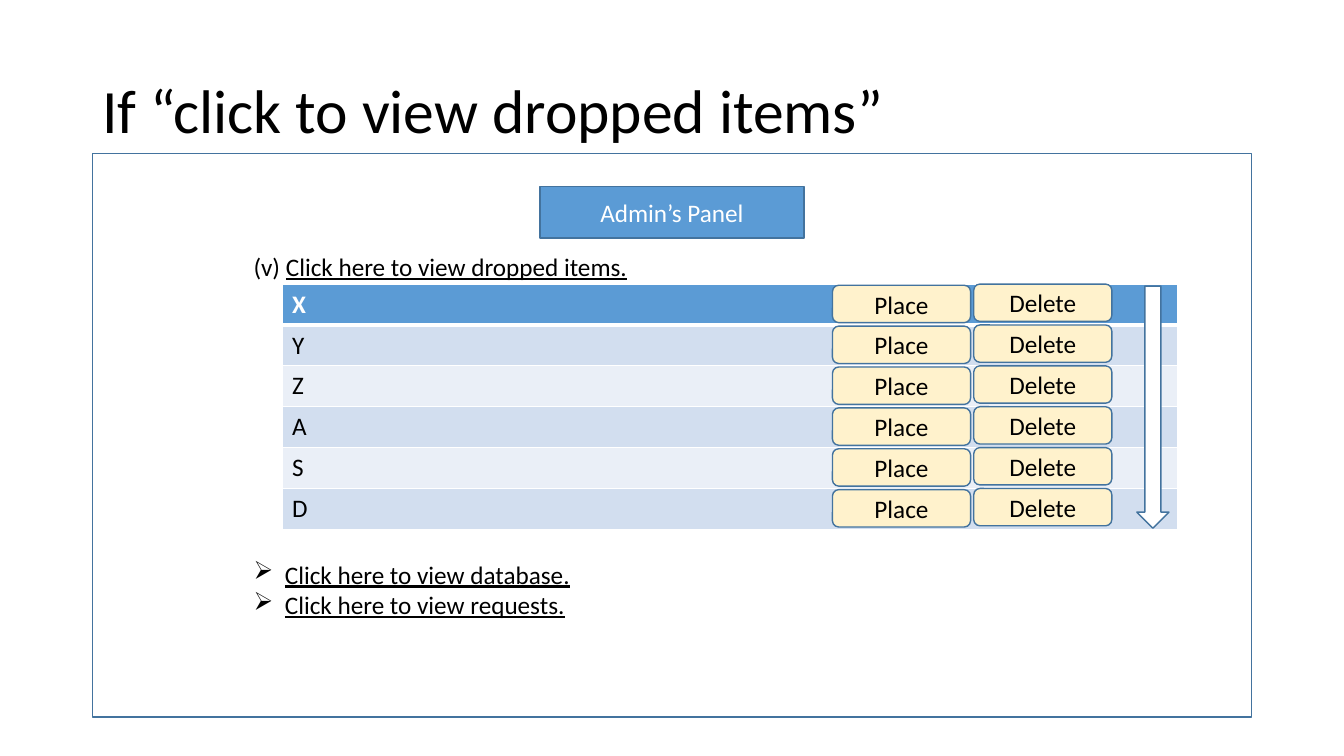
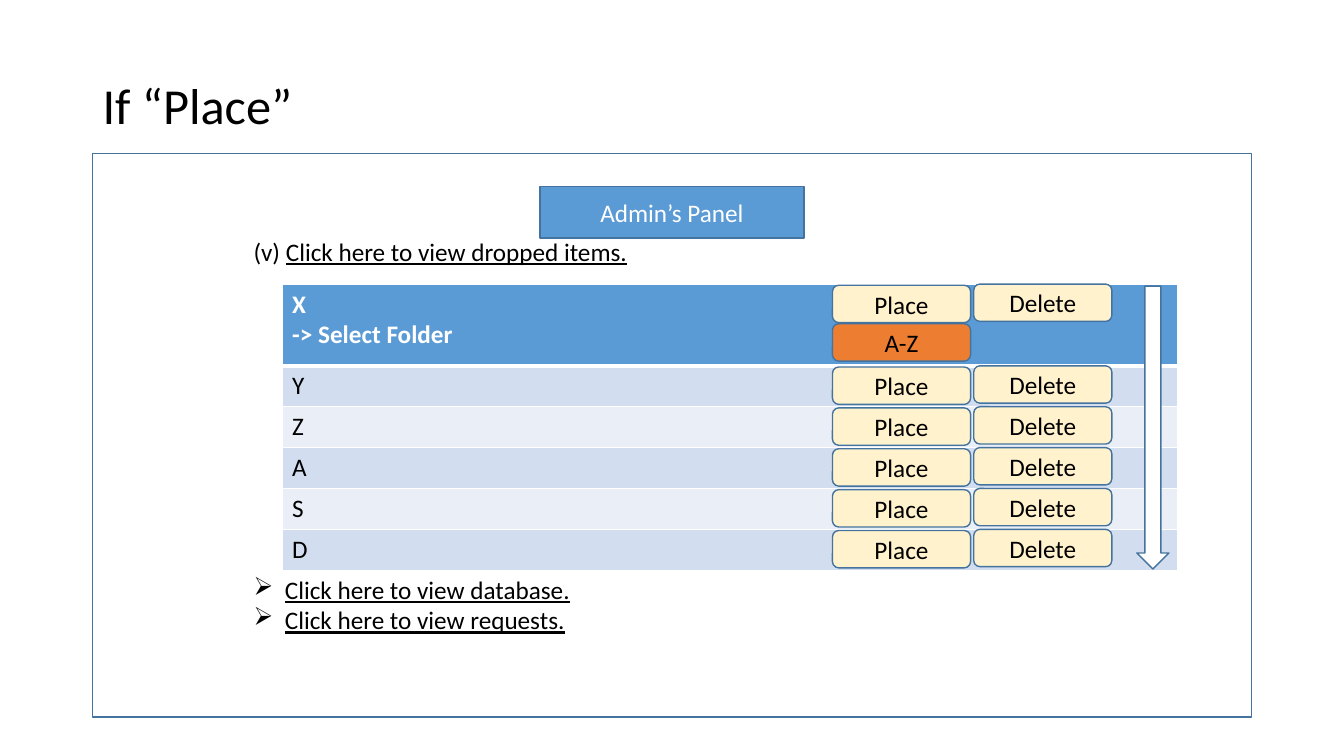
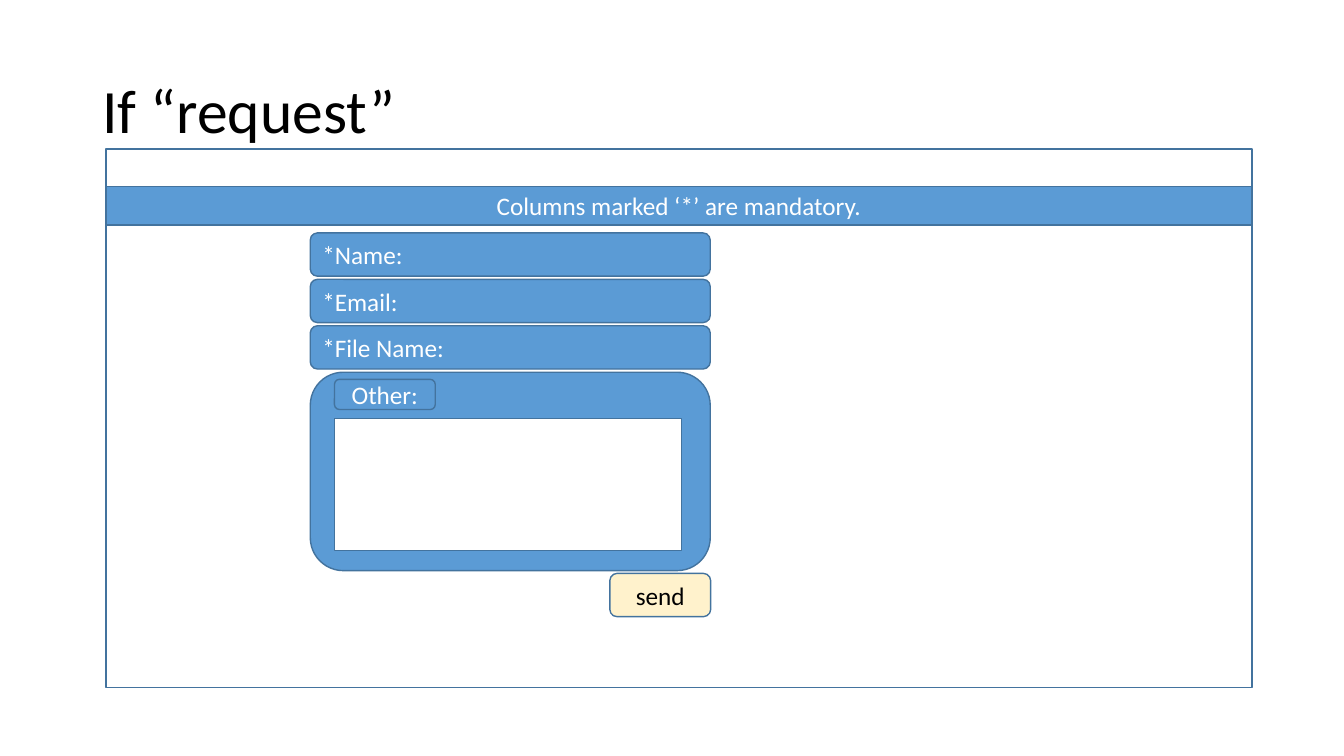
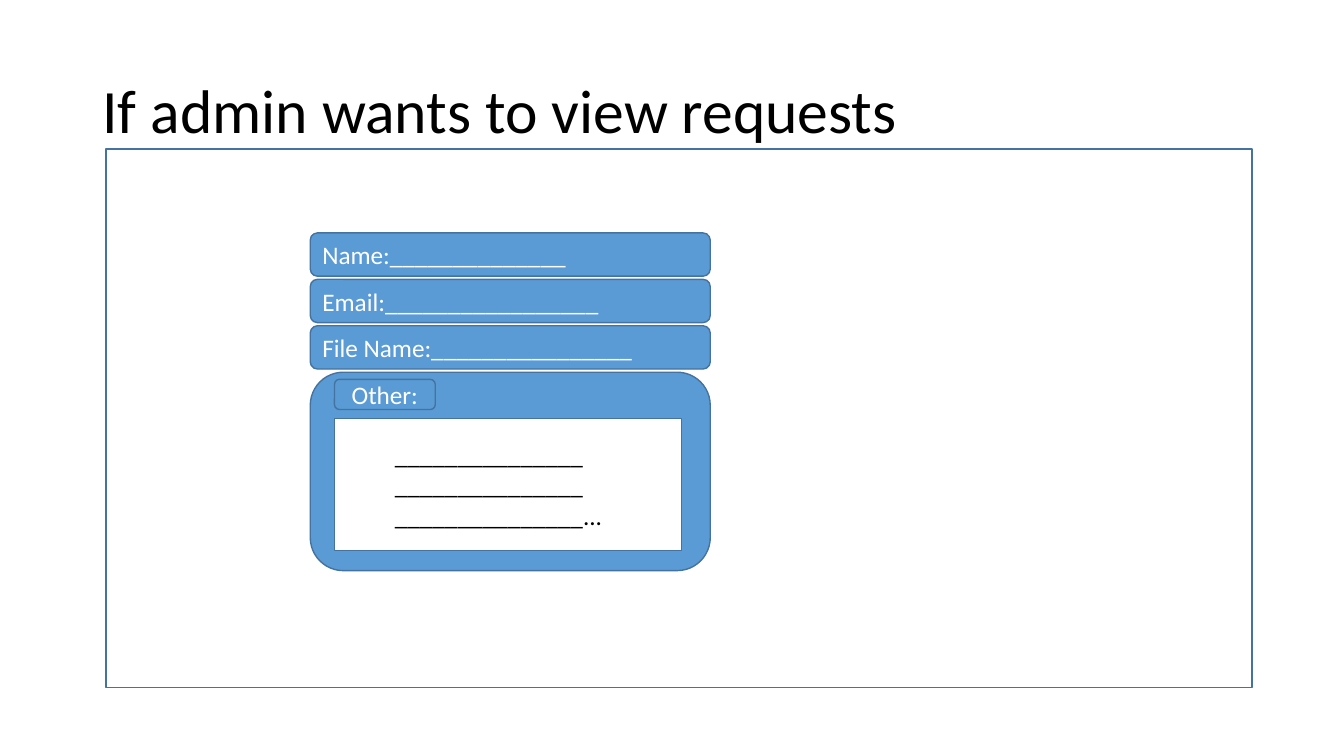
from itertools import accumulate

from lxml.etree import SubElement
from pptx import Presentation
from pptx.dml.color import RGBColor
from pptx.enum.shapes import MSO_SHAPE as Preset
from pptx.enum.text import MSO_ANCHOR as Anchor, MSO_AUTO_SIZE as AutoSize, PP_ALIGN as Align
from pptx.oxml.ns import qn
from pptx.util import Cm, Pt

FONT = "Calibri"
BLACK, WHITE = "000000", "FFFFFF"
BLUE, OUTLINE = "5B9BD5", "43739E"
CREAM, ORANGE = "FFF2CC", "ED7D31"
BANDS = ("D2DEEF", "EAEFF7")

TITLE_AREA = (2.33, 1.01, 29.21, 3.68)
ITEM_PANEL = (2.33, 3.87, 29.21, 14.2)
REQUEST_PANEL = (2.67, 3.76, 28.88, 13.56)
TABLE_LEFT, TABLE_TOP, TABLE_WIDTH = 7.11, 7.16, 22.58
ROW_HEIGHT = 1.03
PLACE_LEFT, DELETE_LEFT = 20.98, 24.54
BUTTON_WIDTH, BUTTON_HEIGHT = 3.48, 0.94
FORM_LEFT, FORM_TOP, FORM_WIDTH = 7.82, 5.87, 10.08
FIELD_HEIGHT, FIELD_STEP = 1.09, 1.17
OTHER_LEFT = 8.43
LINE_POINTS = 22


def rgb(value):
    return RGBColor.from_string(value)


def lengths(area):
    return [Cm(value) for value in area]


def write(paragraph, text, size=18, color=BLACK, bold=False, underline=False,
          align=Align.LEFT, indent=0, hanging=0):
    run = paragraph.add_run()
    run.text = text
    font = run.font
    font.name, font.size, font.bold = FONT, Pt(size), bold
    font.underline = underline
    font.color.rgb = rgb(color)
    paragraph.alignment = align
    properties = paragraph._p.get_or_add_pPr()
    properties.set("marL", str(Cm(indent)))
    properties.set("indent", str(Cm(-hanging)))


def write_lines(frame, lines, **style):
    for number, line in enumerate(lines):
        paragraph = frame.add_paragraph() if number else frame.paragraphs[0]
        write(paragraph, line, **style)


def add_box(slide, area, fill=WHITE, preset=Preset.RECTANGLE, lines=(), **style):
    box = slide.shapes.add_shape(preset, *lengths(area))
    box.shadow.inherit = False
    box.fill.solid()
    box.fill.fore_color.rgb = rgb(fill)
    box.line.color.rgb = rgb(OUTLINE)
    box.line.width = Pt(1)
    write_lines(box.text_frame, lines, **style)
    return box


def add_button(slide, area, label, fill=CREAM, color=BLACK):
    add_box(slide, area, fill, Preset.ROUNDED_RECTANGLE, [label], color=color, align=Align.CENTER)


def add_titled_slide(deck, text, area=TITLE_AREA, size=44, anchor=Anchor.MIDDLE, spacing=0.9):
    slide = deck.slides.add_slide(deck.slide_layouts[5])
    title = slide.shapes.title
    title.left, title.top, title.width, title.height = lengths(area)
    frame = title.text_frame
    frame.auto_size, frame.word_wrap = AutoSize.NONE, True
    frame.vertical_anchor = anchor
    write(frame.paragraphs[0], text, size=size)
    frame.paragraphs[0].line_spacing = spacing
    return slide


def add_arrow_bullet(paragraph):
    properties = paragraph._p.get_or_add_pPr()
    SubElement(properties, qn("a:buFont"), typeface="Wingdings", charset="2")
    SubElement(properties, qn("a:buChar"), char="Ø")


def add_admin_panel(slide, gap_lines):
    frame = add_box(slide, ITEM_PANEL).text_frame
    dropped = frame.paragraphs[0]
    write(dropped, "(v) ", indent=3.81)
    write(dropped, "Click here to view dropped items.", underline=True, indent=3.81)
    dropped.space_after = Pt(gap_lines * LINE_POINTS)
    for target in ("database", "requests"):
        link = frame.add_paragraph()
        write(link, f"Click here to view {target}.", underline=True, indent=4.6, hanging=0.79)
        add_arrow_bullet(link)
    add_box(slide, (13.61, 4.7, 6.65, 1.3), BLUE, lines=["Admin’s Panel"],
            color=WHITE, align=Align.CENTER)


def set_borders(cell, **widths):
    properties = cell._tc.get_or_add_tcPr()
    for side in "LRTB":
        line = SubElement(properties, qn(f"a:ln{side}"), w=str(Pt(widths.get(side, 1))))
        SubElement(SubElement(line, qn("a:solidFill")), qn("a:srgbClr"), val=WHITE)


def add_item_table(slide, items, heights):
    table = slide.shapes.add_table(len(items), 1, *lengths(
        (TABLE_LEFT, TABLE_TOP, TABLE_WIDTH, sum(heights)))).table
    table.horz_banding = False
    for number, (lines, height) in enumerate(zip(items, heights)):
        table.rows[number].height = Cm(height)
        cell = table.cell(number, 0)
        header = number == 0
        set_borders(cell, B=3 if header else 1, T=3 if number == 1 else 1)
        cell.fill.solid()
        cell.fill.fore_color.rgb = rgb(BLUE if header else BANDS[(number - 1) % 2])
        write_lines(cell.text_frame, lines, color=WHITE if header else BLACK, bold=header)


def add_dropped_items(slide, first_item, gap_lines):
    items = [first_item, *(["Y"], ["Z"], ["A"], ["S"], ["D"])]
    heights = [ROW_HEIGHT * len(lines) for lines in items]
    add_admin_panel(slide, gap_lines)
    add_item_table(slide, items, heights)
    for row_top in list(accumulate(heights, initial=TABLE_TOP))[:-1]:
        add_button(slide, (DELETE_LEFT, row_top, BUTTON_WIDTH, BUTTON_HEIGHT), "Delete")
        add_button(slide, (PLACE_LEFT, row_top + 0.03, BUTTON_WIDTH, BUTTON_HEIGHT), "Place")
    add_box(slide, (28.65, TABLE_TOP + 0.05, 0.81, sum(heights) - 0.08), preset=Preset.DOWN_ARROW)


def add_request_form(slide, fields, message=()):
    add_box(slide, REQUEST_PANEL)
    for number, field in enumerate(fields):
        add_box(slide, (FORM_LEFT, FORM_TOP + number * FIELD_STEP, FORM_WIDTH, FIELD_HEIGHT),
                BLUE, Preset.ROUNDED_RECTANGLE, [field], color=WHITE)
    other_top = FORM_TOP + len(fields) * FIELD_STEP
    add_box(slide, (FORM_LEFT, other_top, FORM_WIDTH, 5), BLUE, Preset.ROUNDED_RECTANGLE)
    add_button(slide, (OTHER_LEFT, other_top + 0.18, 2.54, 0.76), "Other:", BLUE, WHITE)
    add_box(slide, (OTHER_LEFT, other_top + 1.17, 8.74, 3.33), lines=message, indent=1.27)


def main():
    deck = Presentation()
    deck.slide_width, deck.slide_height = Cm(33.87), Cm(19.05)

    dropped = add_titled_slide(deck, "If “click to view dropped items”")
    add_dropped_items(dropped, ["X"], gap_lines=9)

    place = add_titled_slide(deck, "If “Place”", (2.33, 1.75, 6.81, 1.8), 36, Anchor.TOP, 1.0)
    add_dropped_items(place, ["X", "-> Select Folder"], gap_lines=10)
    add_button(place, (PLACE_LEFT, TABLE_TOP + 1, BUTTON_WIDTH, BUTTON_HEIGHT), "A-Z", ORANGE)

    request = add_titled_slide(deck, "If “request”")
    add_request_form(request, ["*Name:", "*Email:", "*File Name:"])
    add_box(request, (2.67, 4.7, 28.88, 0.97), BLUE, lines=["Columns marked ‘*’ are mandatory."],
            color=WHITE, align=Align.CENTER)
    add_button(request, (15.37, 14.45, 2.54, FIELD_HEIGHT), "send")

    review = add_titled_slide(deck, "If admin wants to view requests")
    rule = "_" * 15
    add_request_form(review, ["Name:" + "_" * 14, "Email:" + "_" * 17, "File Name:" + "_" * 16],
                     [rule, rule, rule + "..."])

    deck.save("out.pptx")


main()
